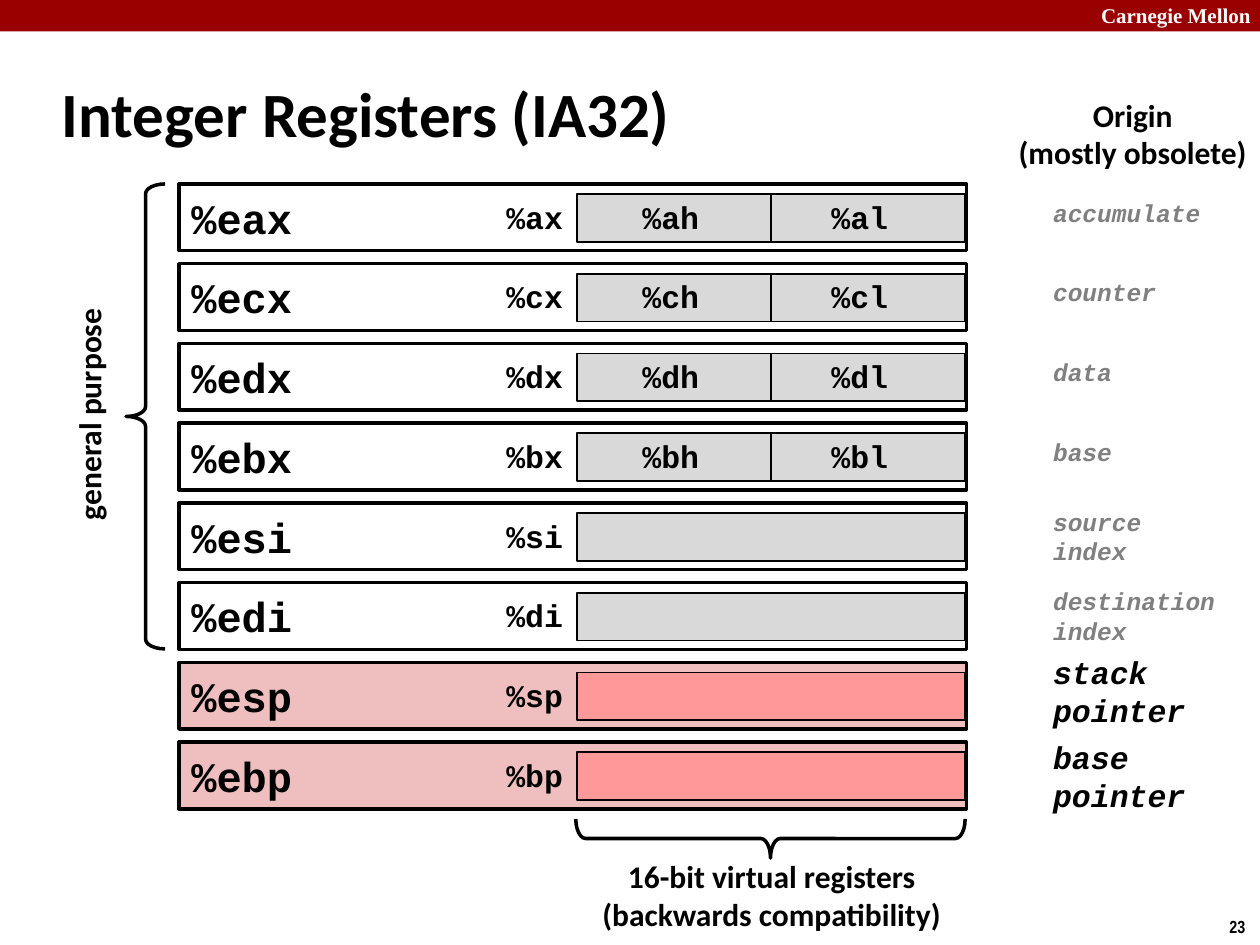
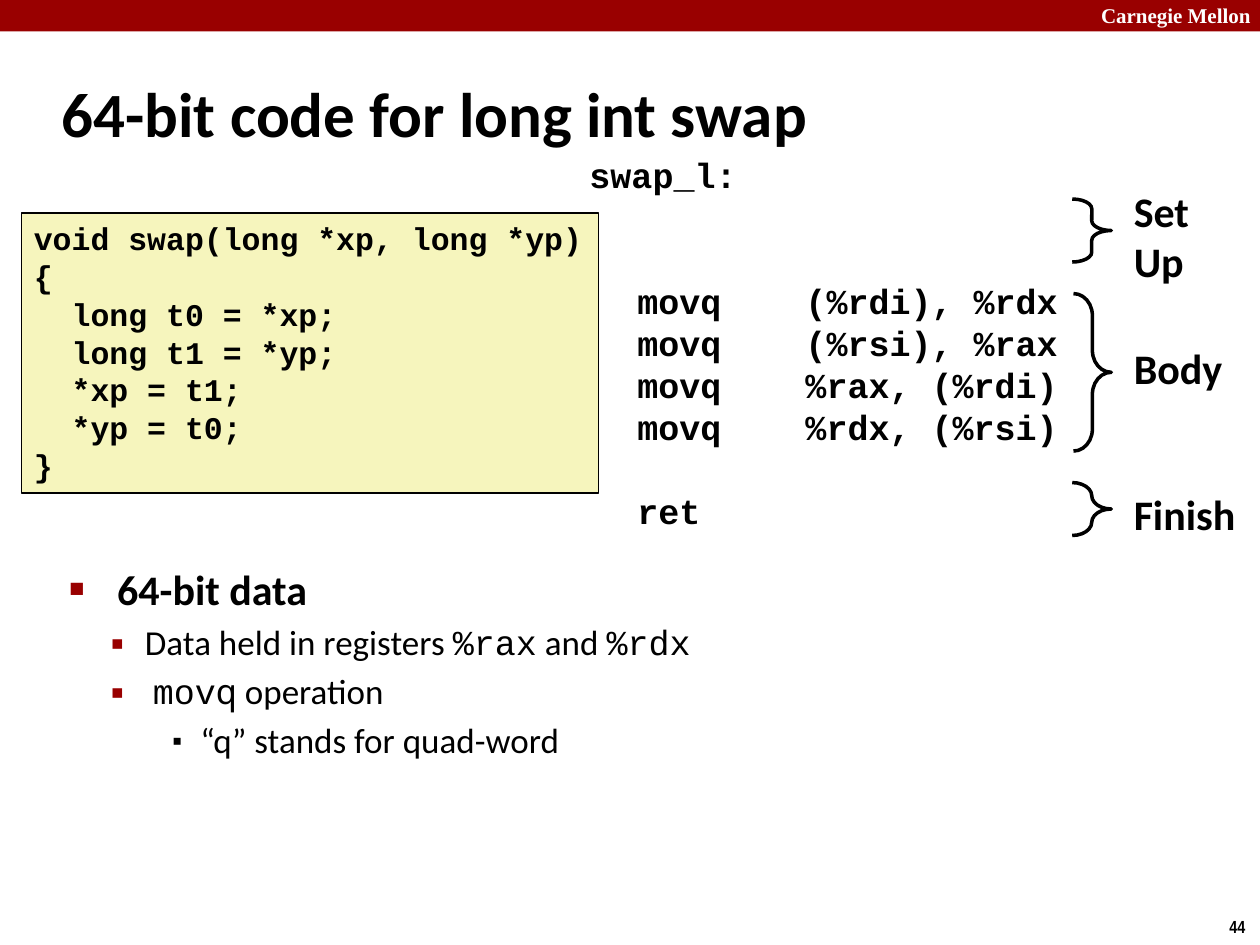
from dataclasses import dataclass

from lxml import etree
from pptx import Presentation
from pptx.dml.color import RGBColor
from pptx.enum.shapes import MSO_CONNECTOR, MSO_SHAPE
from pptx.enum.text import MSO_ANCHOR, MSO_AUTO_SIZE, PP_ALIGN
from pptx.oxml.ns import qn
from pptx.util import Inches, Pt

RECTANGLE = MSO_SHAPE.RECTANGLE
RIGHT_BRACE = MSO_SHAPE.RIGHT_BRACE
STRAIGHT = MSO_CONNECTOR.STRAIGHT
TOP, MIDDLE = MSO_ANCHOR.TOP, MSO_ANCHOR.MIDDLE
LEFT, CENTER = PP_ALIGN.LEFT, PP_ALIGN.CENTER
NO_AUTOFIT = MSO_AUTO_SIZE.NONE
TITLE_AND_BODY, TITLE_ONLY = 1, 5


@dataclass(frozen=True)
class Theme:
    black: str = "000000"
    white: str = "FFFFFF"
    red: str = "990000"
    grey: str = "808080"
    light_grey: str = "D9D9D9"
    pink: str = "EFBFBF"
    salmon: str = "FF9999"
    cream: str = "F6F5BD"
    sans: str = "Calibri"
    code: str = "Courier New"
    mono: str = "Noto Sans Mono"
    serif: str = "Times New Roman"
    narrow: str = "Arial Narrow"
    title: int = 36
    large: int = 24
    medium: int = 20
    label: int = 18
    small: int = 14
    band: int = 12
    number: int = 10


THEME = Theme()


@dataclass(frozen=True)
class Area:
    left: float
    top: float
    width: float
    height: float

    def inches(self) -> tuple:
        return tuple(Inches(v) for v in (self.left, self.top, self.width, self.height))


@dataclass(frozen=True)
class Style:
    size: int
    font: str = THEME.sans
    color: str = THEME.black
    bold: bool = True
    italic: bool = False


@dataclass(frozen=True)
class Register:
    letters: str
    origin: str
    split: bool = False
    origin_shift: float = 0.06
    stack: bool = False


@dataclass(frozen=True)
class Brace:
    area: Area
    curve: float = 0.25
    rotation: int = 0


@dataclass(frozen=True)
class Section:
    text: str
    label_top: float
    brace: Brace


@dataclass(frozen=True)
class Level:
    margin: float
    hanging: float
    bullet: str
    bullet_color: str
    bullet_percent: int
    style: Style


@dataclass(frozen=True)
class Item:
    level: int
    spans: tuple


CODE_LARGE = Style(THEME.large, THEME.code)
CODE_MEDIUM = Style(THEME.medium, THEME.code)
CODE_LABEL = Style(THEME.label, THEME.code)
SANS_LABEL = Style(THEME.label)
SANS_LARGE = Style(THEME.large)
ORIGIN = Style(THEME.small, THEME.code, THEME.grey, italic=True)
STACK_ORIGIN = Style(THEME.label, THEME.code, italic=True)
PLAIN = Style(THEME.medium, bold=False)

ROW_LEFT, ROW_WIDTH, ROW_HEIGHT = 1.42, 6.25, 0.53
FIRST_ROW, LAST_ROW = 1.46, 5.89
HALF_LEFT, HALF_WIDTH, HALF_HEIGHT = 4.58, 3.08, 0.38

REGISTERS = (
    Register("ax", "accumulate", split=True),
    Register("cx", "counter", split=True),
    Register("dx", "data", split=True),
    Register("bx", "base", split=True),
    Register("si", "source\nindex", origin_shift=-0.02),
    Register("di", "destination\nindex", origin_shift=-0.02),
    Register("sp", "stack\npointer", origin_shift=-0.12, stack=True),
    Register("bp", "base\npointer", origin_shift=-0.08, stack=True),
)

SECTIONS = (
    Section("Set\nUp", 1.42, Brace(Area(8.51, 1.58, 0.31, 0.5))),
    Section("Body", 2.67, Brace(Area(8.52, 2.33, 0.3, 1.25), 0.58)),
    Section("Finish", 3.83, Brace(Area(8.51, 3.83, 0.31, 0.42), 0.36)),
)

SWAP_CODE = """void swap(long *xp, long *yp)
{
  long t0 = *xp;
  long t1 = *yp;
  *xp = t1;
  *yp = t0;
}"""

ASSEMBLY = """swap_l:
movq    (%rdi), %rdx
movq    (%rsi), %rax
movq    %rax, (%rdi)
movq    %rdx, (%rsi)
ret"""
ASSEMBLY_GAPS = {1: 48, 5: 24}

LEVELS = (
    Level(0.38, 0.38, "■", THEME.red, 60, SANS_LARGE),
    Level(0.6, 0.31, "▪", THEME.red, 110, PLAIN),
    Level(1.04, 0.25, "▪", THEME.black, 80, PLAIN),
)

ITEMS = (
    Item(0, (("64-bit data", THEME.sans),)),
    Item(1, (("Data held in registers ", THEME.sans), ("%rax", THEME.code),
             (" and ", THEME.sans), ("%rdx", THEME.code))),
    Item(1, ((" ", THEME.sans), ("mov", THEME.code), ("q", THEME.mono),
             (" operation", THEME.sans))),
    Item(2, (("“q” stands for quad-word", THEME.sans),)),
)


def format_font(font, style: Style) -> None:
    font.name = style.font
    font.size = Pt(style.size)
    font.bold = style.bold
    font.italic = style.italic
    font.color.rgb = RGBColor.from_string(style.color)


def write(box, text: str, style: Style, align=LEFT, anchor=TOP, wrap: bool = True) -> None:
    frame = box.text_frame
    frame.text = text
    frame.word_wrap = wrap
    frame.auto_size = NO_AUTOFIT
    frame.vertical_anchor = anchor
    for paragraph in frame.paragraphs:
        paragraph.alignment = align
        for span in paragraph.runs:
            format_font(span.font, style)


def add_text(page, area: Area, text: str, style: Style, align=LEFT, wrap: bool = True):
    box = page.shapes.add_textbox(*area.inches())
    write(box, text, style, align, wrap=wrap)
    return box


def add_box(page, area: Area, fill: str, line_width: float = 0):
    box = page.shapes.add_shape(RECTANGLE, *area.inches())
    box.shadow.inherit = False
    box.fill.solid()
    box.fill.fore_color.rgb = RGBColor.from_string(fill)
    if line_width:
        box.line.color.rgb = RGBColor.from_string(THEME.black)
        box.line.width = Pt(line_width)
    else:
        box.line.fill.background()
    return box


def add_divider(page, x: float, top: float, height: float) -> None:
    line = page.shapes.add_connector(
        STRAIGHT, Inches(x), Inches(top), Inches(x), Inches(top + height))
    line.line.color.rgb = RGBColor.from_string(THEME.black)
    line.line.width = Pt(1)
    etree.SubElement(line._element.spPr, qn("a:effectLst"))


def add_brace(page, brace: Brace) -> None:
    shape = page.shapes.add_shape(RIGHT_BRACE, *brace.area.inches())
    shape.shadow.inherit = False
    shape.adjustments[0] = brace.curve
    shape.rotation = brace.rotation
    shape.fill.background()
    shape.line.color.rgb = RGBColor.from_string(THEME.black)
    shape.line.width = Pt(2)


def add_page(deck, layout: int, title: str, number: int):
    page = deck.slides.add_slide(deck.slide_layouts[layout])
    add_box(page, Area(0, 0, 10, 0.25), THEME.red)
    add_text(page, Area(8.64, -0.03, 1.43, 0.3), "Carnegie Mellon",
             Style(THEME.band, THEME.serif, THEME.white))
    add_text(page, Area(9.66, 7.22, 0.34, 0.27), str(number),
             Style(THEME.number, THEME.narrow), wrap=False)
    heading = page.shapes.title
    heading.left, heading.top, heading.width, heading.height = Area(0.39, 0.48, 8.3, 0.83).inches()
    write(heading, title, Style(THEME.title), anchor=MIDDLE)
    return page


def add_register(page, register: Register, top: float) -> None:
    row_fill, half_fill = ((THEME.pink, THEME.salmon) if register.stack
                           else (THEME.white, THEME.light_grey))
    row = add_box(page, Area(ROW_LEFT, top, ROW_WIDTH, ROW_HEIGHT), row_fill, 2)
    write(row, "%e" + register.letters, CODE_LARGE, anchor=MIDDLE)
    half_top = top + 0.08
    add_box(page, Area(HALF_LEFT, half_top, HALF_WIDTH, HALF_HEIGHT), half_fill, 1)
    labels = [(3.92, register.letters)]
    if register.split:
        add_divider(page, HALF_LEFT + HALF_WIDTH / 2, half_top, HALF_HEIGHT)
        labels += [(5, register.letters[0] + "h"), (6.5, register.letters[0] + "l")]
    for left, letters in labels:
        add_text(page, Area(left, top + 0.06, 0.65, 0.4), "%" + letters, CODE_LABEL, wrap=False)
    add_text(page, Area(8.26, top + register.origin_shift, 1.74, 0.71), register.origin,
             STACK_ORIGIN if register.stack else ORIGIN)


def set_bullet(paragraph, level: Level) -> None:
    properties = paragraph._p.get_or_add_pPr()
    properties.set("marL", str(Inches(level.margin)))
    properties.set("indent", str(-Inches(level.hanging)))
    color = etree.SubElement(properties, qn("a:buClr"))
    etree.SubElement(color, qn("a:srgbClr"), val=level.bullet_color)
    etree.SubElement(properties, qn("a:buSzPct"), val=str(level.bullet_percent * 1000))
    etree.SubElement(properties, qn("a:buFont"), typeface=THEME.mono)
    etree.SubElement(properties, qn("a:buChar"), char=level.bullet)


def fill_list(body, items: tuple) -> None:
    frame = body.text_frame
    frame.auto_size = NO_AUTOFIT
    for index, item in enumerate(items):
        paragraph = frame.add_paragraph() if index else frame.paragraphs[0]
        level = LEVELS[item.level]
        paragraph.level = item.level
        set_bullet(paragraph, level)
        paragraph.space_before = Pt(4 if index else 0)
        for text, font in item.spans:
            span = paragraph.add_run()
            span.text = text
            format_font(span.font, Style(level.style.size, font, bold=level.style.bold))


def build_registers(deck) -> None:
    page = add_page(deck, TITLE_ONLY, "Integer Registers (IA32)", 23)
    pitch = (LAST_ROW - FIRST_ROW) / (len(REGISTERS) - 1)
    for index, register in enumerate(REGISTERS):
        add_register(page, register, FIRST_ROW + index * pitch)
    add_brace(page, Brace(Area(5.96, 5.11, 0.31, 3.09), rotation=90))
    add_brace(page, Brace(Area(1, FIRST_ROW, 0.31, 3.69), rotation=180))
    add_text(page, Area(4.67, 6.75, 2.91, 0.71),
             "16-bit virtual registers\n(backwards compatibility)", SANS_LABEL, CENTER, wrap=False)
    purpose = add_text(page, Area(-0.24, 3.08, 1.89, 0.4), "general purpose", SANS_LABEL, wrap=False)
    purpose.rotation = 270
    add_text(page, Area(7.98, 0.71, 2.02, 0.71), "Origin\n(mostly obsolete)",
             SANS_LABEL, CENTER, wrap=False)


def build_swap(deck) -> None:
    page = add_page(deck, TITLE_AND_BODY, "64-bit code for long int swap", 44)
    body = page.placeholders[1]
    body.left, body.top, body.width, body.height = Area(0.45, 4.42, 8.64, 1.96).inches()
    fill_list(body, ITEMS)
    write(add_box(page, Area(0.17, 1.69, 4.58, 2.22), THEME.cream, 1), SWAP_CODE, CODE_LABEL)
    for section in SECTIONS:
        add_brace(page, section.brace)
        add_text(page, Area(8.9, section.label_top, 1.1, 0.5), section.text, SANS_LARGE)
    assembly = add_text(page, Area(4.58, 1.17, 4.58, 3.13), ASSEMBLY, CODE_MEDIUM)
    for index, paragraph in enumerate(assembly.text_frame.paragraphs):
        if index:
            paragraph._p.get_or_add_pPr().set("marL", str(Inches(0.38)))
            paragraph.space_before = Pt(ASSEMBLY_GAPS.get(index, 0))


def main() -> None:
    deck = Presentation()
    deck.slide_width, deck.slide_height = Inches(10), Inches(7.5)
    build_registers(deck)
    build_swap(deck)
    deck.save("out.pptx")


if __name__ == "__main__":
    main()
